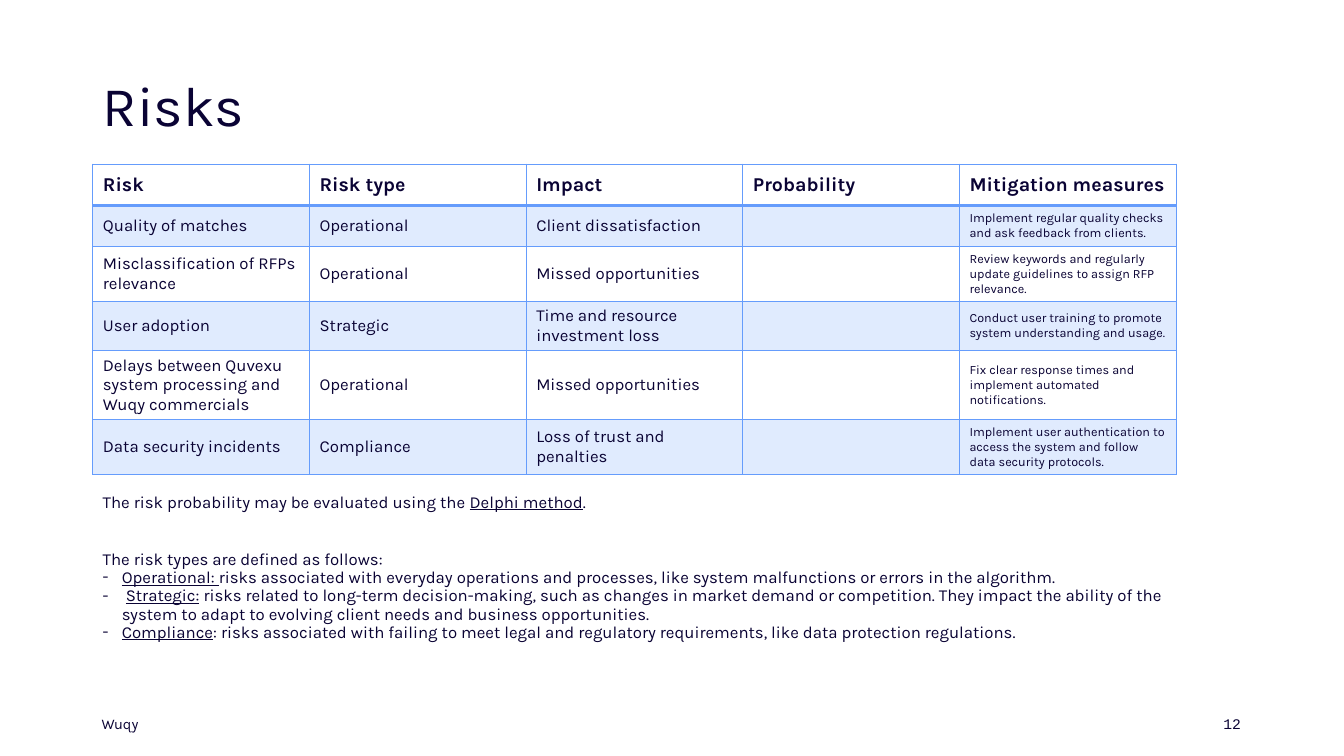
from lxml.etree import SubElement
from pptx import Presentation
from pptx.dml.color import RGBColor
from pptx.enum.text import MSO_ANCHOR, PP_ALIGN
from pptx.oxml.ns import qn
from pptx.util import Cm, Pt

INK = "0A0334"
BLUE = "659CFC"
LEFT, CONTENT_WIDTH = 2.34, 27.3

HEADINGS = ["Risk", "Risk type", "Impact", "Probability", "Mitigation measures"]
RISKS = [
    ["Quality of matches", "Operational", "Client dissatisfaction", "",
     "Implement regular quality checks and ask feedback from clients."],
    ["Misclassification of RFPs relevance", "Operational", "Missed opportunities", "",
     "Review keywords and regularly update guidelines to assign RFP relevance."],
    ["User adoption", "Strategic", "Time and resource investment loss", "",
     "Conduct user training to promote system understanding and usage."],
    ["Delays between Quvexu system processing and Wuqy commercials", "Operational",
     "Missed opportunities", "",
     "Fix clear response times and implement automated notifications."],
    ["Data security incidents", "Compliance", "Loss of trust and penalties", "",
     "Implement user authentication to access the system and follow data security protocols."],
]
PROBABILITY_NOTE = [[("The risk probability may be evaluated using the ", False),
                     ("Delphi method", True), (".", False)]]
TYPE_DEFINITIONS = [
    [("The risk types are defined as follows:", False)],
    [("Operational: ", True),
     ("risks associated with everyday operations and processes, like system "
      "malfunctions or errors in the algorithm.", False)],
    [(" ", False), ("Strategic:", True),
     (" risks related to long-term decision-making, such as changes in market demand "
      "or competition. They impact the ability of the system to adapt to evolving "
      "client needs and business opportunities.", False)],
    [("Compliance", True),
     (": risks associated with failing to meet legal and regulatory requirements, "
      "like data protection regulations.", False)],
]


def color(value):
    return RGBColor.from_string(value)


def write(paragraph, text, size=12, font="Karla", bold=False, underline=False):
    run = paragraph.add_run()
    run.text = text
    run.font.name = font
    run.font.size = Pt(size)
    run.font.bold = bold
    run.font.underline = underline
    run.font.color.rgb = color(INK)


class RiskSlide:
    def __init__(self, deck):
        self.slide = deck.slides.add_slide(deck.slide_layouts[5])

    def title(self, text, left, top, width, height):
        heading = self.slide.shapes.title
        heading.left, heading.top = Cm(left), Cm(top)
        heading.width, heading.height = Cm(width), Cm(height)
        heading.text_frame.vertical_anchor = MSO_ANCHOR.MIDDLE
        paragraph = heading.text_frame.paragraphs[0]
        paragraph.alignment = PP_ALIGN.LEFT
        paragraph.line_spacing = 0.9
        write(paragraph, text, size=40)

    def text(self, paragraphs, left, top, width, height, line_spacing=0.9,
             anchor=MSO_ANCHOR.MIDDLE, align=PP_ALIGN.LEFT, bullets_from=None,
             bottom_inset=0.13, **style):
        box = self.slide.shapes.add_textbox(Cm(left), Cm(top), Cm(width), Cm(height))
        frame = box.text_frame
        frame.word_wrap = True
        frame.vertical_anchor = anchor
        frame.margin_bottom = Cm(bottom_inset)
        for index, parts in enumerate(paragraphs):
            paragraph = frame.add_paragraph() if index else frame.paragraphs[0]
            paragraph.alignment = align
            paragraph.line_spacing = line_spacing
            if bullets_from is not None and index >= bullets_from:
                self.bullet(paragraph)
            for words, underline in parts:
                write(paragraph, words, underline=underline, **style)

    def bullet(self, paragraph):
        properties = paragraph._p.get_or_add_pPr()
        properties.set("marL", str(Cm(0.48)))
        properties.set("indent", str(-Cm(0.48)))
        SubElement(properties, qn("a:buFont")).set("typeface", "Karla")
        SubElement(properties, qn("a:buChar")).set("char", "-")

    def table(self, rows, left, top, width, height, row_height):
        frame = self.slide.shapes.add_table(
            len(rows), len(rows[0]), Cm(left), Cm(top), Cm(width), Cm(height))
        grid = frame.table
        for row_index, values in enumerate(rows):
            grid.rows[row_index].height = Cm(row_height)
            for column, value in enumerate(values):
                header = row_index == 0
                cell = grid.cell(row_index, column)
                cell.vertical_anchor = MSO_ANCHOR.MIDDLE
                self.borders(cell, bottom=2 if header else 1, top=2 if row_index == 1 else 1)
                self.band(cell, row_index % 2 == 1)
                if value:
                    size = 14 if header else 9 if column == len(values) - 1 else 12
                    write(cell.text_frame.paragraphs[0], value, size=size, bold=header)
        frame.height = Cm(height)

    def borders(self, cell, top, bottom):
        properties = cell._tc.get_or_add_tcPr()
        for side, weight in (("L", 1), ("R", 1), ("T", top), ("B", bottom)):
            line = SubElement(properties, qn(f"a:ln{side}"), w=str(Pt(weight)))
            fill = SubElement(line, qn("a:solidFill"))
            SubElement(fill, qn("a:srgbClr"), val=BLUE)

    def band(self, cell, shaded):
        if not shaded:
            cell.fill.background()
            return
        cell.fill.solid()
        cell.fill.fore_color.rgb = color(BLUE)
        tint = cell._tc.tcPr.find(qn("a:solidFill")).find(qn("a:srgbClr"))
        SubElement(tint, qn("a:alpha"), val="20000")


def main():
    deck = Presentation()
    deck.slide_width, deck.slide_height = Cm(33.87), Cm(19.05)
    risks = RiskSlide(deck)
    risks.title("Risks", LEFT, 1.6, 29.2, 2.26)
    risks.table([HEADINGS, *RISKS], LEFT, 4.14, CONTENT_WIDTH, 7.9, row_height=1.04)
    risks.text(PROBABILITY_NOTE, LEFT, 12.07, CONTENT_WIDTH, 1.22)
    risks.text(TYPE_DEFINITIONS, LEFT, 13.28, CONTENT_WIDTH, 3.96,
               bullets_from=1, bottom_inset=0.58)
    footer = {"top": 17.88, "width": 5.46, "height": 0.74, "size": 10.5,
              "line_spacing": 1, "anchor": MSO_ANCHOR.TOP}
    risks.text([[("Wuqy", False)]], left=2.31, **footer)
    risks.text([[("12", False)]], left=26.06, align=PP_ALIGN.RIGHT,
               font="Courier New", **footer)
    deck.save("out.pptx")


if __name__ == "__main__":
    main()
